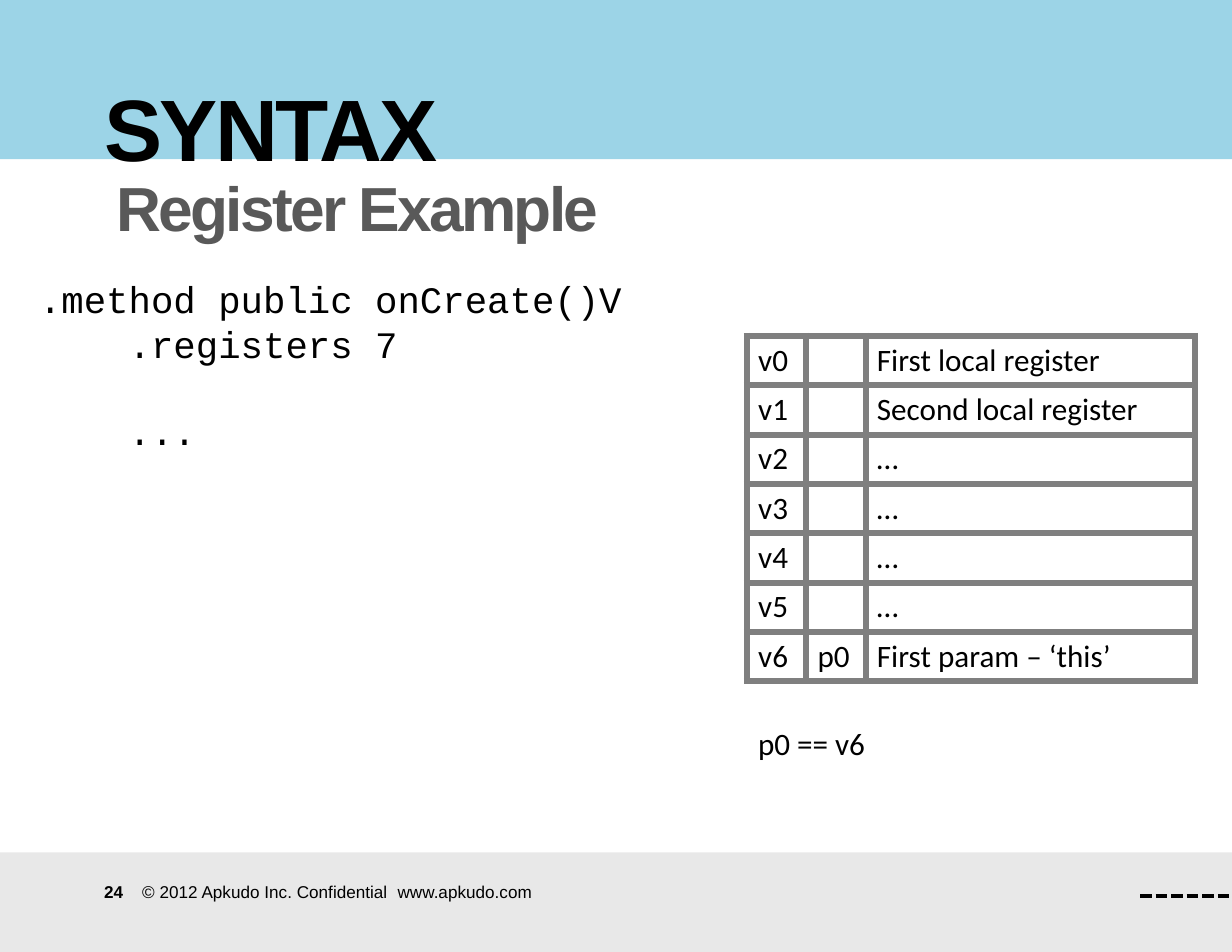
from lxml.etree import SubElement
from pptx import Presentation
from pptx.dml.color import RGBColor
from pptx.enum.dml import MSO_LINE_DASH_STYLE as Dash
from pptx.enum.shapes import MSO_CONNECTOR, MSO_SHAPE
from pptx.enum.text import MSO_ANCHOR as Anchor, MSO_AUTO_SIZE as AutoSize, PP_ALIGN as Align
from pptx.oxml import parse_xml
from pptx.oxml.ns import nsdecls, qn
from pptx.util import Inches, Pt

BLACK = RGBColor(0x00, 0x00, 0x00)
GRAY = RGBColor(0x59, 0x59, 0x59)
SKY = RGBColor(0x9C, 0xD4, 0xE7)
PALE = RGBColor(0xE8, 0xE8, 0xE8)
BORDER = RGBColor(0x7F, 0x7F, 0x7F)

TITLE = "SYNTAX"
SUBTITLE = "Register Example"
CODE = [".method public onCreate()V", "    .registers 7", "    ..."]
REGISTERS = [
    ("v0", "", "First local register"),
    ("v1", "", "Second local register"),
    ("v2", "", "…"),
    ("v3", "", "…"),
    ("v4", "", "…"),
    ("v5", "", "…"),
    ("v6", "p0", "First param – ‘this’"),
]
NOTE = "p0 == v6"
FOOTER = ["24", "© 2012 Apkudo Inc. Confidential", "www.apkudo.com"]
FOOTER_TABS = [0.34, 2.62]

BANDS = [(0, 1.42, SKY), (7.61, 0.89, PALE)]
COLUMN_WIDTHS = [0.53, 0.53, 2.94]
TABLE_LEFT, TABLE_TOP, TABLE_HEIGHT = 6.67, 3, 3.03
BORDER_WIDTH = 4.5


def style(para, font, size, color=BLACK, bold=False, spacing=None):
    """Format every run of a paragraph; spacing is letter spacing in points."""
    for span in para.runs:
        span.font.name = font
        span.font.size = Pt(size)
        span.font.color.rgb = color
        span.font.bold = bold
        if spacing is not None:
            span.font._element.set("spc", str(round(spacing * 100)))


def set_frame(box, anchor, side=0.1, top=0.05, wrap=True):
    frame = box.text_frame
    frame.auto_size = AutoSize.NONE
    frame.word_wrap = wrap
    frame.vertical_anchor = anchor
    frame.margin_left = frame.margin_right = Inches(side)
    frame.margin_top = frame.margin_bottom = Inches(top)
    return frame


def add_box(page, left, top, width, height):
    return page.shapes.add_textbox(Inches(left), Inches(top), Inches(width), Inches(height))


def fill_heading(box, text, size, color):
    frame = set_frame(box, Anchor.BOTTOM, 0.11, 0.06)
    frame.text = text
    para = frame.paragraphs[0]
    para.alignment = Align.LEFT
    para.line_spacing = 0.7
    style(para, "Arial", size, color, True, -1.7)


def add_bands(page):
    for top, height, color in BANDS:
        band = page.shapes.add_shape(
            MSO_SHAPE.RECTANGLE, 0, Inches(top), Inches(11), Inches(height))
        band.shadow.inherit = False
        band.fill.solid()
        band.fill.fore_color.rgb = color
        band.line.fill.background()


def add_footer(page):
    frame = set_frame(add_box(page, 0.82, 7.81, 4.5, 0.3), Anchor.MIDDLE, 0.11, 0.06)
    para = frame.paragraphs[0]
    para.text = "\t".join(FOOTER)
    tabs = SubElement(para._p.get_or_add_pPr(), qn("a:tabLst"))
    for position in FOOTER_TABS:
        SubElement(tabs, qn("a:tab"), pos=str(Inches(position)), algn="l")
    number, rest = para.runs[0], para.add_run()
    number.text, rest.text = FOOTER[0], "\t" + "\t".join(FOOTER[1:])
    style(para, "Arial", 11)
    number.font.bold = True

    dashes = page.shapes.add_connector(
        MSO_CONNECTOR.STRAIGHT, Inches(10.18), Inches(8), Inches(11), Inches(8))
    dashes.line.color.rgb = BLACK
    dashes.line.width = Pt(2.5)
    dashes.line.dash_style = Dash.SQUARE_DOT
    SubElement(dashes._element.spPr, qn("a:effectLst"))


def add_code(page):
    frame = set_frame(add_box(page, 0.25, 2.42, 6.09, 2.93), Anchor.TOP)
    frame.text = "\n".join(CODE)
    for para in frame.paragraphs:
        style(para, "Courier New", 24)
    frame.paragraphs[-1].space_before = Pt(27)


def add_borders(cell):
    properties = cell._tc.get_or_add_tcPr()
    for index, side in enumerate(("lnL", "lnR", "lnT", "lnB")):
        properties.insert(index, parse_xml(
            f'<a:{side} {nsdecls("a")} w="{Pt(BORDER_WIDTH)}"><a:solidFill>'
            f'<a:srgbClr val="{BORDER}"/></a:solidFill></a:{side}>'))


def add_registers(page):
    table = page.shapes.add_table(
        len(REGISTERS), len(COLUMN_WIDTHS), Inches(TABLE_LEFT), Inches(TABLE_TOP),
        Inches(sum(COLUMN_WIDTHS)), Inches(TABLE_HEIGHT)).table
    table.first_row = table.horz_banding = False
    for column, width in zip(table.columns, COLUMN_WIDTHS):
        column.width = Inches(width)
    for row, texts in zip(table.rows, REGISTERS):
        row.height = Inches(TABLE_HEIGHT / len(REGISTERS))
        for cell, text in zip(row.cells, texts):
            cell.fill.background()
            add_borders(cell)
            if text:
                cell.text = text
                style(cell.text_frame.paragraphs[0], "Calibri", 20)


def add_note(page):
    frame = set_frame(add_box(page, TABLE_LEFT, 6.42, 1.17, 0.44), Anchor.TOP, wrap=False)
    frame.text = NOTE
    style(frame.paragraphs[0], "Calibri", 20)


def main():
    deck = Presentation()
    deck.slide_width, deck.slide_height = Inches(11), Inches(8.5)
    page = deck.slides.add_slide(deck.slide_layouts[5])
    add_bands(page)
    add_footer(page)

    title = page.shapes.title
    title.left, title.top = Inches(0.82), Inches(0.29)
    title.width, title.height = Inches(8.91), Inches(1.34)
    fill_heading(title, TITLE, 56, BLACK)
    page.shapes._spTree.append(title._element)  # in front of the bands

    add_code(page)
    fill_heading(add_box(page, 0.93, 1.33, 8.82, 0.89), SUBTITLE, 40, GRAY)
    add_registers(page)
    add_note(page)
    deck.save("out.pptx")


if __name__ == "__main__":
    main()
